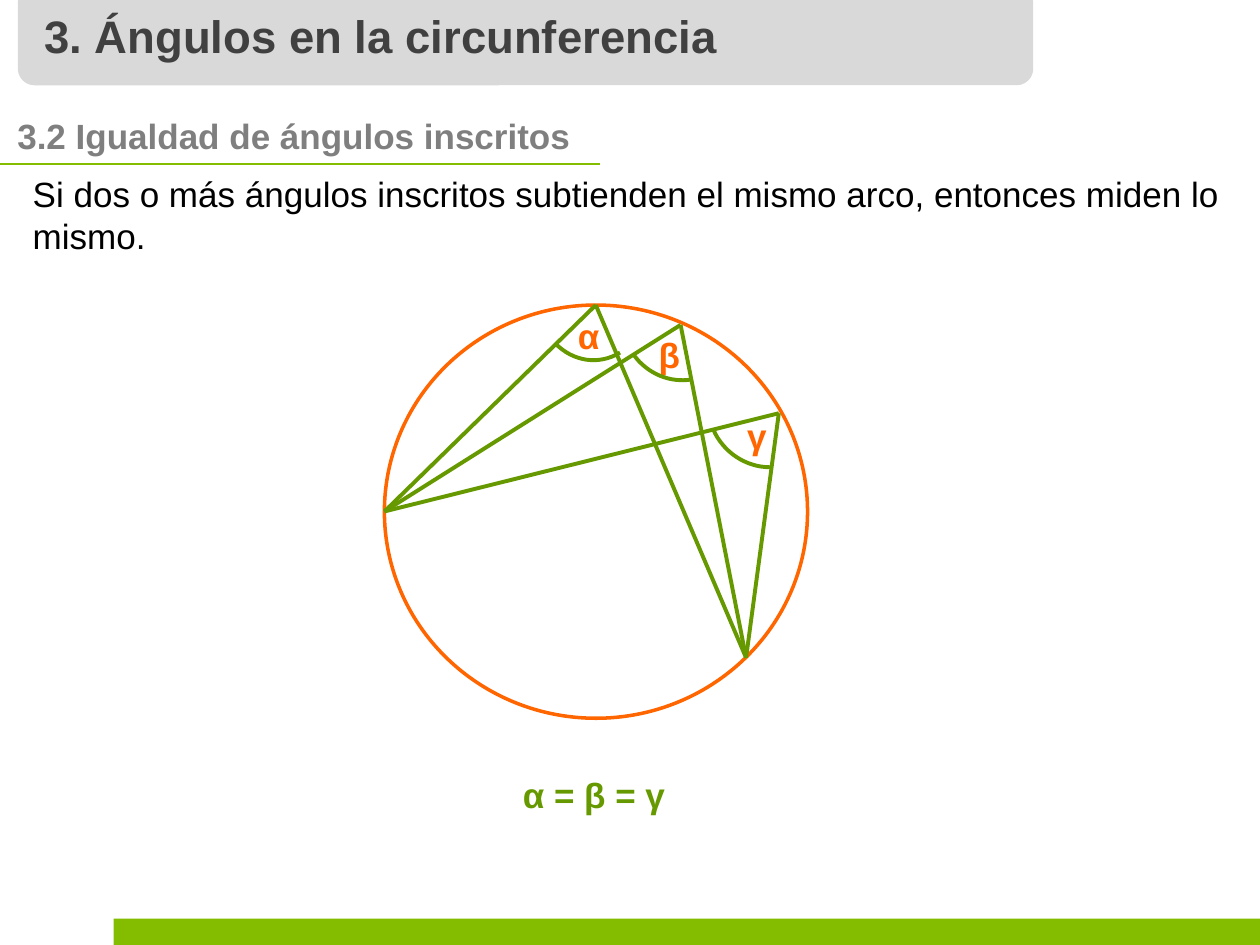
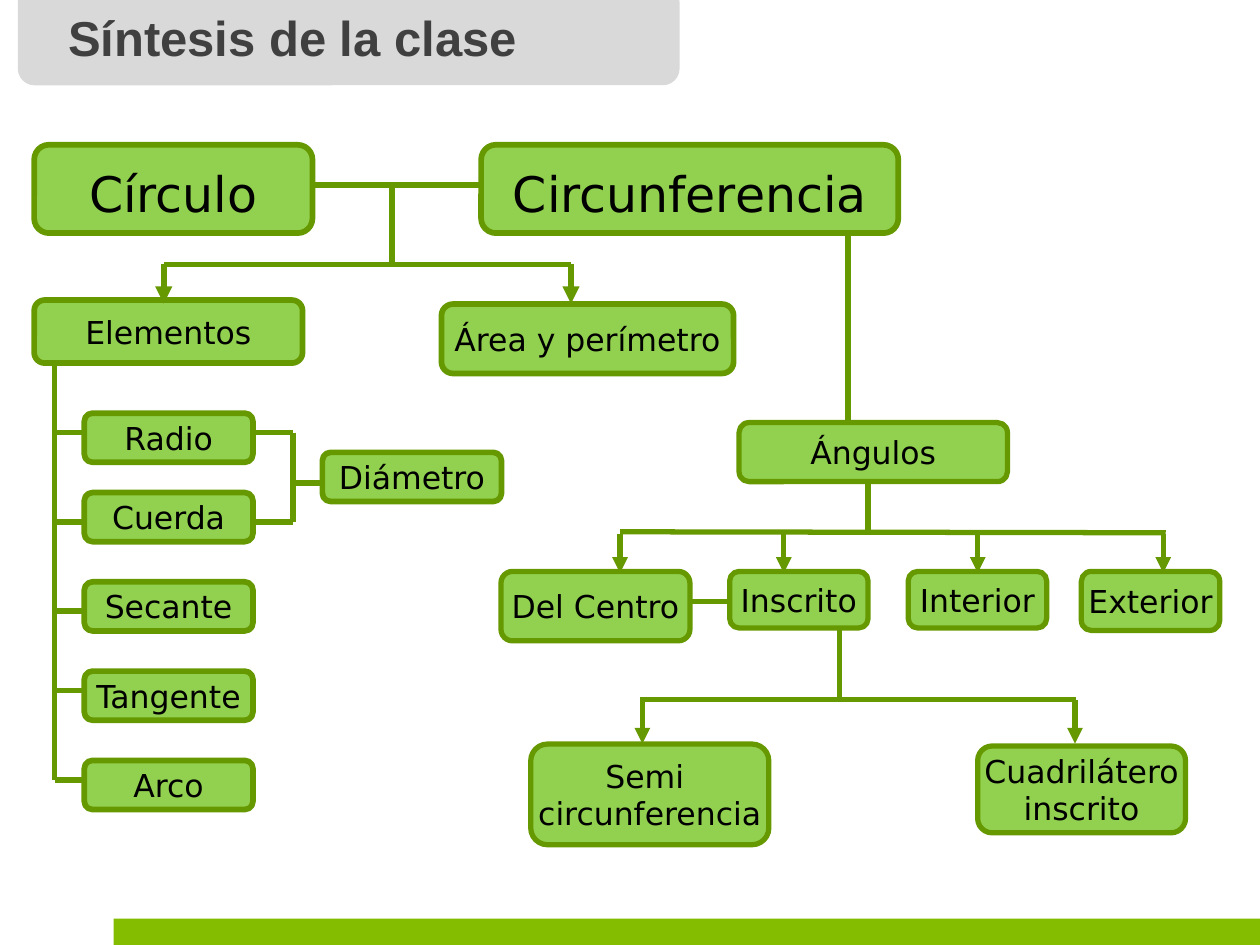
from lxml import etree
from pptx import Presentation
from pptx import util as u
from pptx.dml import color
from pptx.enum import shapes, text
from pptx.oxml import ns

HUES = {
    "bar": "84BD00", "band": "D9D9D9", "title": "404040", "sub": "7F7F7F",
    "ink": "000000", "leaf": "92D050", "green": "669900", "orange": "FF6600",
}
SANS, NODE = "Arial", "DejaVu Sans"
MSO = shapes.MSO_SHAPE
LEFT, MID = text.PP_ALIGN.LEFT, text.PP_ALIGN.CENTER
TOP, HALF = text.MSO_ANCHOR.TOP, text.MSO_ANCHOR.MIDDLE


def put(page, at, kind=None, fill=None, edge=None, thick=1, words="", size=18,
        hue="ink", face=SANS, bold=False, side=LEFT, hang=TOP, wrap=True):
    """Add a preset shape, or a text box when kind is None."""
    spot = [u.Cm(v) for v in at]
    if kind is None:
        item = page.shapes.add_textbox(*spot)
    else:
        item = page.shapes.add_shape(kind, *spot)
        item.shadow.inherit = False
        if fill:
            item.fill.solid()
            item.fill.fore_color.rgb = color.RGBColor.from_string(HUES[fill])
        else:
            item.fill.background()
        if edge:
            item.line.color.rgb = color.RGBColor.from_string(HUES[edge])
            item.line.width = u.Pt(thick)
        else:
            item.line.fill.background()
    if words:
        frame = item.text_frame
        frame.word_wrap = wrap
        frame.vertical_anchor = hang
        for n, row in enumerate(words.split("\n")):
            para = frame.add_paragraph() if n else frame.paragraphs[0]
            para.alignment = side
            run = para.add_run()
            run.text = row
            run.font.name, run.font.size, run.font.bold = face, u.Pt(size), bold
            run.font.color.rgb = color.RGBColor.from_string(HUES[hue])
    return item


def join(page, start, end, thick, hue="green", arrow=False):
    """Add a straight line, with an arrowhead at its end if asked."""
    line = page.shapes.add_connector(
        shapes.MSO_CONNECTOR.STRAIGHT, *[u.Cm(v) for v in (*start, *end)])
    line.line.color.rgb = color.RGBColor.from_string(HUES[hue])
    line.line.width = u.Pt(thick)
    if arrow:
        etree.SubElement(line.line._get_or_add_ln(), ns.qn("a:tailEnd"), type="triangle")
    etree.SubElement(line._element.spPr, ns.qn("a:effectLst"))


deck = Presentation()
deck.slide_width, deck.slide_height = u.Cm(25.4), u.Cm(19.05)

# Footer bar, title band and title on every slide
heads = [
    ("3. Ángulos en la circunferencia", 20.47, (0.64, 0.03, 19, 1.37), 26, LEFT),
    ("Síntesis de la clase", 13.34, (0.62, 0.03, 10.55, 1.45), 28, MID),
]
pages = []
for words, wide, at, size, side in heads:
    page = deck.slides.add_slide(deck.slide_layouts[6])
    put(page, (2.29, 18.52, 23.11, 0.53), MSO.RECTANGLE, "bar")
    put(page, (0.36, -0.29, wide, 2.01), MSO.ROUNDED_RECTANGLE, "band")
    put(page, at, words=words, size=size, hue="title", bold=True, side=side)
    pages.append(page)
theme, recap = pages

# Subtitle, theorem and conclusion
put(theme, (0.1, 2.18, 22.81, 1.12), words="3.2 Igualdad de ángulos inscritos",
    size=20, hue="sub", bold=True)
join(theme, (0, 3.3), (12.09, 3.3), 1, "bar")
put(theme, (0.41, 3.35, 24.82, 1.96), size=20, hang=HALF,
    words="Si dos o más ángulos inscritos subtienden el mismo arco, "
          "entonces miden lo mismo.")
put(theme, (10.29, 15.47, 4.6, 1.12), words="α = β = γ", size=20, hue="green", bold=True)

# Circle with three inscribed angles: vertex, label spot, arc control points
put(theme, (7.75, 6.15, 8.53, 8.33), MSO.OVAL, edge="orange", thick=2)
ends = [(7.75, 10.31), (15.04, 13.26)]
angles = [
    ("α", (12.01, 6.15), (11.4, 6.22),
     [(12.5, 7.11), (12.07, 7.37), (11.56, 7.29), (11.2, 6.93)]),
    ("β", (13.72, 6.55), (13.03, 6.6),
     [(13.94, 7.65), (13.51, 7.72), (13.06, 7.54), (12.78, 7.16)]),
    ("γ", (15.7, 8.33), (14.81, 8.23),
     [(15.52, 9.42), (15.04, 9.42), (14.58, 9.12), (14.38, 8.66)]),
]
STEPS = 16
for name, tip, spot, bend in angles:
    for end in ends:
        join(theme, end, tip, 2.25)
    put(theme, (*spot, 0.99, 1.12), words=name, size=20, hue="orange", bold=True, wrap=False)
    dots = []
    for n in range(STEPS + 1):
        t = n / STEPS
        parts = ((1 - t) ** 3, 3 * t * (1 - t) ** 2, 3 * t * t * (1 - t), t ** 3)
        dots.append([u.Cm(sum(w * p[k] for w, p in zip(parts, bend))) for k in (0, 1)])
    pen = theme.shapes.build_freeform(*dots[0])
    pen.add_line_segments(dots[1:], close=False)
    arc = pen.convert_to_shape()
    arc.shadow.inherit = False
    arc.fill.background()
    arc.line.color.rgb = color.RGBColor.from_string(HUES["green"])
    arc.line.width = u.Pt(2.25)

# Concept map boxes: words, place, border, text size
BOLD, THIN = 3.25, 3
nodes = [
    ("Círculo", (0.69, 2.92, 5.61, 1.78), BOLD, 28),
    ("Circunferencia", (9.7, 2.92, 8.41, 1.78), BOLD, 28),
    ("Elementos", (0.69, 6.05, 5.41, 1.27), BOLD, 18),
    ("Área y perímetro", (8.9, 6.13, 5.89, 1.4), BOLD, 18),
    ("Radio", (1.7, 8.33, 3.4, 0.99), BOLD, 18),
    ("Diámetro", (6.5, 9.12, 3.61, 0.99), BOLD, 18),
    ("Ángulos", (14.9, 8.52, 5.41, 1.19), THIN, 18),
    ("Del Centro", (10.1, 11.52, 3.81, 1.4), THIN, 18),
    ("Inscrito", (14.71, 11.52, 2.79, 1.14), THIN, 18),
    ("Interior", (18.31, 11.52, 2.79, 1.14), THIN, 18),
    ("Exterior", (21.8, 11.52, 2.79, 1.19), THIN, 18),
    ("Semi \ncircunferencia", (10.7, 15, 4.8, 2.03), THIN, 18),
    ("Cuadrilátero\ninscrito", (19.71, 15.04, 4.19, 1.75), THIN, 18),
]
for n, words in enumerate(["Cuerda", "Secante", "Tangente", "Arco"]):
    nodes.append((words, (1.7, 9.93 + 1.8 * n, 3.4, 0.99), BOLD, 18))
for words, at, thick, size in nodes:
    node = put(recap, at, MSO.FLOWCHART_ALTERNATE_PROCESS, "leaf", "green", thick,
               words, size, face=NODE, side=MID, hang=HALF, wrap=False)
    if size == 28:
        node.text_frame.margin_top = u.Cm(0.3)

# Plain links
links = {
    BOLD: [
        ((9.7, 3.73), (6.3, 3.73)), ((7.9, 3.73), (7.9, 5.33)),
        ((3.3, 5.33), (11.51, 5.33)), ((17.1, 4.72), (17.1, 8.52)),
        ((1.1, 7.32), (1.1, 15.72)), ((5.9, 8.72), (5.9, 10.52)),
        ((5.9, 8.72), (5.11, 8.72)), ((5.9, 10.52), (5.11, 10.52)),
        ((6.5, 9.73), (5.9, 9.73)),
    ],
    THIN: [
        ((17.5, 9.73), (17.5, 10.72)), ((12.5, 10.72), (23.5, 10.74)),
        ((13.9, 12.12), (14.71, 12.12)), ((16.92, 12.67), (16.92, 14.07)),
        ((12.9, 14.1), (21.7, 14.1)),
    ],
}
for thick, pairs in links.items():
    for start, end in pairs:
        join(recap, start, end, thick)
for y in (8.72, 10.52, 12.32, 13.92, 15.72):
    join(recap, (1.1, y), (1.7, y), BOLD)

# Arrows down to each row of boxes
drops = [
    ((3.3, 11.51), 5.33, 6.12, BOLD),
    ((12.5, 15.8, 19.71, 23.45), 10.77, 11.55, THIN),
    ((12.95, 21.67), 14.12, 14.99, THIN),
]
for row, high, low, thick in drops:
    for x in row:
        join(recap, (x, high), (x, low), thick, arrow=True)

deck.save("out.pptx")
